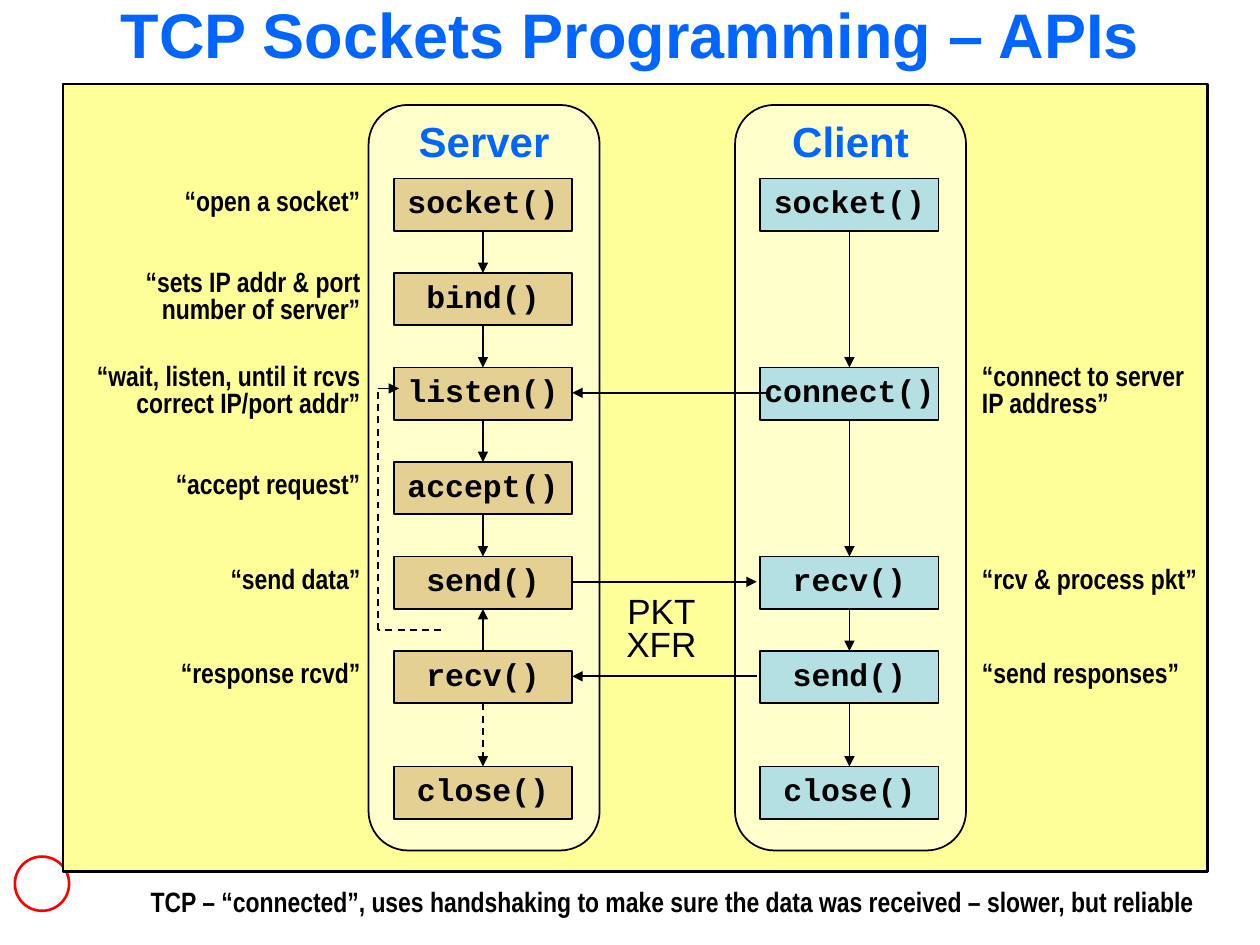
from collections import namedtuple
from dataclasses import dataclass

from lxml.etree import SubElement
from pptx import Presentation
from pptx.dml.color import RGBColor
from pptx.enum.dml import MSO_LINE as Dash
from pptx.enum.shapes import MSO_CONNECTOR as Wire, MSO_SHAPE as Kind
from pptx.enum.text import MSO_ANCHOR as Anchor, PP_ALIGN as Align
from pptx.oxml.ns import qn
from pptx.util import Pt

Box = namedtuple("Box", "x y w h")
Font = namedtuple("Font", "face size bold color")


@dataclass(frozen=True)
class Theme:
    ink: str = "000000"
    blue: str = "0066FF"
    red: str = "FF0000"
    white: str = "FFFFFF"
    panel: str = "FFFF99"
    lane: str = "FFFFCC"
    tan: str = "E5D093"
    aqua: str = "B5E0E3"
    title: Font = Font("Arial", 36, True, blue)
    head: Font = Font("Arial", 24, True, blue)
    code: Font = Font("Courier New", 18, True, ink)
    note: Font = Font("Arial Narrow", 16, True, ink)
    label: Font = Font("Arial", 20, False, ink)


T = Theme()

# Lane measures: tops of the seven rows, and the size of a call box
ROWS = [42 + 54 * i for i in range(6)] + [378]
CALL_W, CALL_H = 102, 30

SERVER = {0: "socket()", 1: "bind()", 2: "listen()", 3: "accept()",
          4: "send()", 5: "recv()", 6: "close()"}
CLIENT = {0: "socket()", 2: "connect()", 4: "recv()", 5: "send()",
          6: "close()"}
SERVER_NOTES = {0: "“open a socket”",
                1: "“sets IP addr & port\nnumber of server”",
                2: "“wait, listen, until it rcvs\ncorrect IP/port addr”",
                3: "“accept request”", 4: "“send data”",
                5: "“response rcvd”"}
CLIENT_NOTES = {2: "“connect to server\nIP address”",
                4: "“rcv & process pkt”", 5: "“send responses”"}


def rgb(code):
    return RGBColor.from_string(code)


def place(shape, box):
    shape.left, shape.top, shape.width, shape.height = map(Pt, box)


def write(shape, text, font, align=Align.CENTER, pad=(7.2, 3.6), space=0.8,
          wrap=True):
    frame = shape.text_frame
    frame.word_wrap = wrap
    frame.vertical_anchor = Anchor.MIDDLE
    frame.margin_left = frame.margin_right = Pt(pad[0])
    frame.margin_top = frame.margin_bottom = Pt(pad[1])
    para = frame.paragraphs[0]
    para.text = text
    para.alignment = align
    para.line_spacing = space
    para.space_before = Pt(0)
    para.font.name, para.font.size = font.face, Pt(font.size)
    para.font.bold = font.bold
    para.font.color.rgb = rgb(font.color)


def add_text(slide, box, text, font, align=Align.CENTER):
    write(slide.shapes.add_textbox(*map(Pt, box)), text, font, align)


def add_block(slide, box, fill, width=1, kind=Kind.RECTANGLE, edge=T.ink):
    shape = slide.shapes.add_shape(kind, *map(Pt, box))
    shape.shadow.inherit = False
    shape.fill.solid()
    shape.fill.fore_color.rgb = rgb(fill)
    shape.line.color.rgb = rgb(edge)
    shape.line.width = Pt(width)
    return shape


def add_line(slide, start, end, arrow=True, dash=False):
    line = slide.shapes.add_connector(Wire.STRAIGHT,
                                      *map(Pt, (*start, *end)))
    line.line.color.rgb = rgb(T.ink)
    line.line.width = Pt(1)
    if dash:
        line.line.dash_style = Dash.DASH
    if arrow:
        SubElement(line.line._get_or_add_ln(), qn("a:tailEnd"),
                   type="triangle")
    SubElement(line._element.spPr, qn("a:effectLst"))


def draw_title(slide, box, text):
    title = slide.shapes.title
    place(title, box)
    write(title, text, T.title, pad=(3.6, 3.6), space=0.75)


def draw_lane(slide, box, name, calls, fill, back=(), dashed=()):
    """Draw a column of calls; back and dashed list rows whose link differs."""
    lane = add_block(slide, box, T.lane, kind=Kind.ROUNDED_RECTANGLE)
    lane.adjustments[0] = 0.17
    add_text(slide, Box(box.x, box.y + 8, box.w, 30), name, T.head)
    left = box.x + 14.4
    mid = left + CALL_W / 2
    for row, call in calls.items():
        spot = Box(left, box.y + ROWS[row], CALL_W, CALL_H)
        write(add_block(slide, spot, fill), call, T.code, wrap=False)
    rows = list(calls)
    for row, after in zip(rows, rows[1:]):
        ends = [(mid, box.y + ROWS[row] + CALL_H), (mid, box.y + ROWS[after])]
        if row in back:
            ends.reverse()
        add_line(slide, *ends, dash=row in dashed)


def draw_loop(slide, lane):
    """Draw the dashed way back from send and recv to listen."""
    low, high = lane.y + 300, lane.y + 162
    edge = lane.x + 5.4
    add_line(slide, (edge + 36, low), (edge, low), arrow=False, dash=True)
    add_line(slide, (edge, low), (edge, high), arrow=False, dash=True)
    add_line(slide, (edge, high), (edge + 12, high))


def draw_notes(slide, box, notes, align):
    for row, text in notes.items():
        spot = Box(box.x, box.y + ROWS[row] - 5, box.w, 38)
        add_text(slide, spot, text, T.note, align)


def draw_traffic(slide, box):
    """Draw the messages in the gap between the call boxes."""
    right = box.x + box.w
    connect, send, reply = (box.y + ROWS[row] + 14.5 for row in (2, 4, 5))
    add_line(slide, (right + 4, connect), (box.x, connect))
    add_line(slide, (box.x, send), (right - 2, send))
    add_line(slide, (right - 2, reply), (box.x, reply))
    add_text(slide, Box(box.x + 11, send + 5, 80, 46), "PKT\nXFR", T.label)


def draw_panel(slide, box):
    add_block(slide, box, T.panel, 1.5)
    top = box.y + 12
    server = Box(box.x + 174.6, top, 132, 426)
    client = server._replace(x=box.x + 384)
    draw_lane(slide, server, "Server", SERVER, T.tan, back=(4,), dashed=(5,))
    draw_lane(slide, client, "Client", CLIENT, T.aqua)
    draw_loop(slide, server)
    gap = server.x + 14.4 + CALL_W
    draw_traffic(slide, Box(gap, top, client.x + 14.4 - gap, 426))
    draw_notes(slide, Box(box.x + 2, top, 175, 426), SERVER_NOTES,
               Align.RIGHT)
    draw_notes(slide, Box(box.x + 518, top, 142, 426), CLIENT_NOTES,
               Align.LEFT)


def draw_foot(slide, box):
    add_text(slide, box, "TCP – “connected”, uses handshaking to make sure "
             "the data was received – slower, but reliable", T.note,
             Align.LEFT)


def main():
    deck = Presentation()
    deck.slide_width, deck.slide_height = Pt(720), Pt(540)
    slide = deck.slides.add_slide(deck.slide_layouts[5])
    draw_title(slide, Box(0, 0, 720, 47), "TCP Sockets Programming – APIs")
    add_block(slide, Box(8.5, 489.5, 31, 31), T.white, 1.5, Kind.OVAL, T.red)
    draw_panel(slide, Box(36, 48, 654, 450))
    draw_foot(slide, Box(79, 505.5, 625, 23))
    deck.save("out.pptx")


if __name__ == "__main__":
    main()
